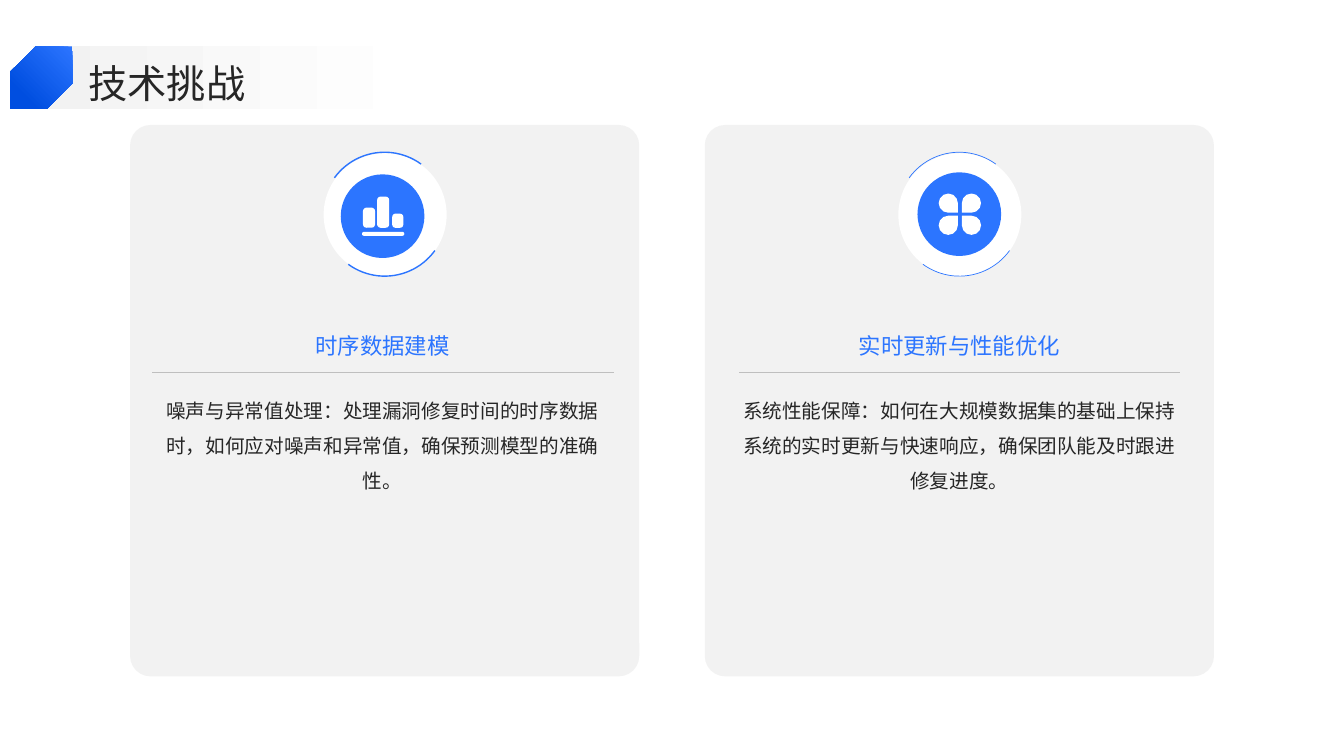
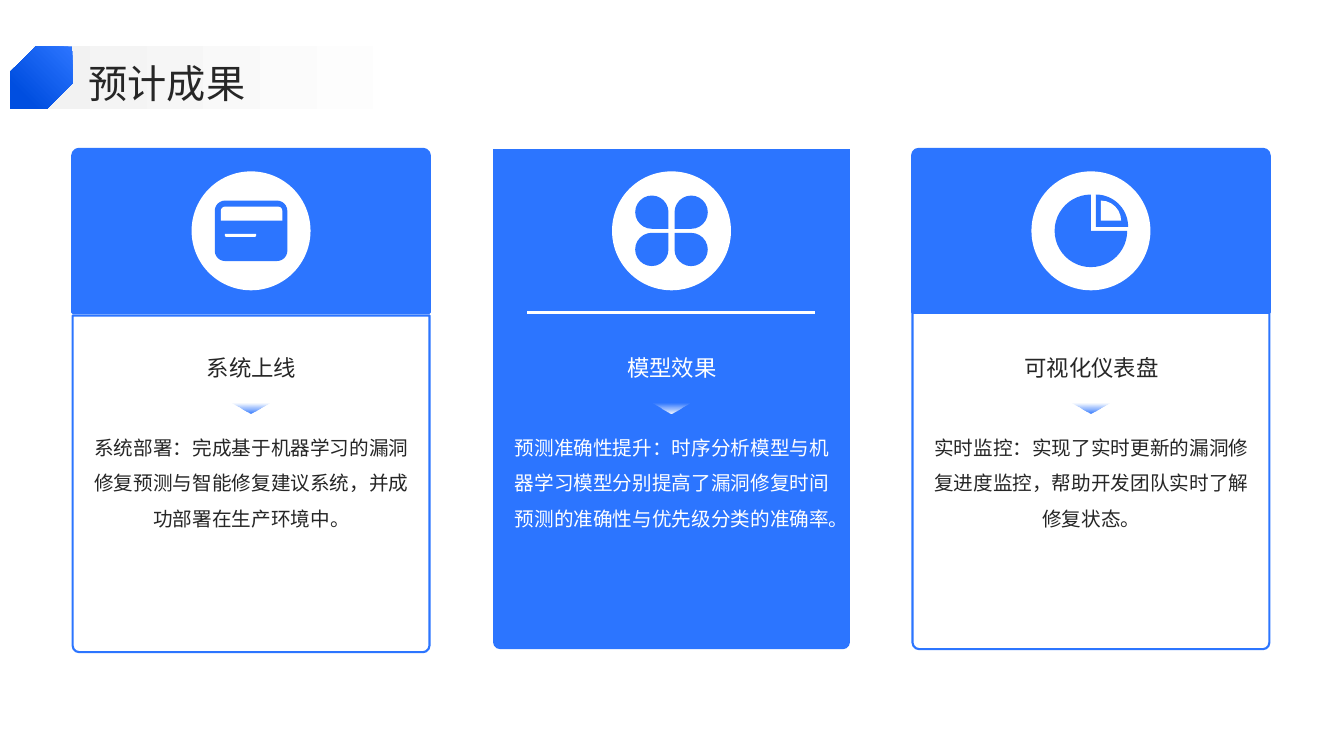
from dataclasses import dataclass

from lxml.etree import SubElement
from pptx import Presentation
from pptx.dml.color import RGBColor
from pptx.enum.lang import MSO_LANGUAGE_ID
from pptx.enum.shapes import MSO_CONNECTOR, MSO_SHAPE
from pptx.enum.text import MSO_ANCHOR, PP_ALIGN
from pptx.oxml.ns import qn
from pptx.util import Emu, Pt


@dataclass(frozen=True)
class Theme:
    blue: str = "2C75FF"
    deep_blue: str = "004EE0"
    white: str = "FFFFFF"
    panel: str = "F2F2F2"
    rule: str = "BFBFBF"
    ink: str = "262626"
    font: str = "Noto Sans CJK SC"
    title_size: int = 28
    heading_size: int = 16
    body_size: int = 14


THEME = Theme()
EMU_PER_PX = 9144
BLANK_LAYOUT = 6
PIE_ANGLE_UNIT = 0.6


def px(length):
    return Emu(length * EMU_PER_PX)


def rgb(color):
    return RGBColor.from_string(color)


def add_shape(page, kind, box, fill=None, line=None, weight=1, rotation=0, adjust=()):
    shape = page.shapes.add_shape(kind, *map(px, box))
    shape.shadow.inherit = False
    shape.rotation = rotation
    for index, value in enumerate(adjust):
        shape.adjustments[index] = value
    if fill:
        shape.fill.solid()
        shape.fill.fore_color.rgb = rgb(fill)
    else:
        shape.fill.background()
    if line:
        shape.line.color.rgb = rgb(line)
        shape.line.width = Pt(weight)
    else:
        shape.line.fill.background()
    return shape


def set_gradient(shape, stops, angle):
    shape.fill.gradient()
    shape.fill.gradient_angle = -angle % 360
    for stop, (position, color) in zip(shape.fill.gradient_stops, stops):
        stop.position = position
        stop.color.rgb = rgb(color)


def flip(shape, axis):
    shape._element.spPr.find(qn("a:xfrm")).set(axis, "1")


def add_rule(page, left, right, top, color, weight):
    rule = page.shapes.add_connector(
        MSO_CONNECTOR.STRAIGHT, px(left), px(top), px(right), px(top))
    rule.line.color.rgb = rgb(color)
    rule.line.width = Pt(weight)
    SubElement(rule._element.spPr, qn("a:effectLst"))


def add_text(page, box, text, size, color, spacing, align=PP_ALIGN.CENTER,
             anchor=MSO_ANCHOR.TOP):
    frame = page.shapes.add_textbox(*map(px, box)).text_frame
    frame.word_wrap = True
    frame.vertical_anchor = anchor
    frame.margin_left = frame.margin_right = frame.margin_top = frame.margin_bottom = 0
    frame.text = text
    para = frame.paragraphs[0]
    para.alignment = align
    para.line_spacing = spacing
    span = para.runs[0]
    span.font.name = THEME.font
    span.font.size = Pt(size)
    span.font.color.rgb = rgb(color)
    span.font.language_id = MSO_LANGUAGE_ID.SIMPLIFIED_CHINESE
    SubElement(span._r.rPr, qn("a:ea"), typeface=THEME.font)


def add_page(deck, title):
    page = deck.slides.add_slide(deck.slide_layouts[BLANK_LAYOUT])
    page.background.fill.solid()
    page.background.fill.fore_color.rgb = rgb(THEME.white)
    band = add_shape(page, MSO_SHAPE.RECTANGLE, (33, 46, 492, 62))
    set_gradient(band, ((0, THEME.panel), (0.8, THEME.white)), 0)
    add_text(page, (88, 54, 1188, 51), title, THEME.title_size, THEME.ink, 1.1,
             PP_ALIGN.LEFT, MSO_ANCHOR.MIDDLE)
    tile = add_shape(page, MSO_SHAPE.SNIP_2_DIAG_RECTANGLE, (10, 46, 62, 62),
                     adjust=(0, 0.41))
    set_gradient(tile, ((0, THEME.blue), (0.8, THEME.deep_blue)), 45)
    flip(tile, "flipH")
    return page


def add_bars_icon(page, left, top, color):
    parts = ((0, 36, 42, 4, 0.5), (1, 12, 12, 20, 0.29),
             (15, 1, 12, 31, 0.29), (30, 18, 11, 14, 0.29))
    for dx, dy, width, height, rounding in parts:
        add_shape(page, MSO_SHAPE.ROUNDED_RECTANGLE,
                  (left + dx, top + dy, width, height), color, adjust=(rounding,))


def add_petals(page, left, top, color, size, gap_x, gap_y):
    for column, row, rotation in ((0, 0, 90), (1, 0, 180), (1, 1, 270), (0, 1, 0)):
        box = (left + column * (size + gap_x), top + row * (size + gap_y), size, size)
        add_shape(page, MSO_SHAPE.TEAR, box, color, rotation=rotation)


def add_small_petals(page, left, top, color):
    add_petals(page, left, top, color, 19, 4, 3)


def add_large_petals(page, left, top, color):
    add_petals(page, left, top + 1, color, 33, 6, 4)


def add_window_icon(page, left, top, color):
    add_shape(page, MSO_SHAPE.ROUNDED_RECTANGLE, (left, top + 6, 72, 60), color,
              adjust=(0.17,))
    add_shape(page, MSO_SHAPE.ROUND_2_SAME_RECTANGLE, (left + 6, top + 12, 61, 14),
              THEME.white, adjust=(0.29, 0))
    add_shape(page, MSO_SHAPE.ROUND_2_SAME_RECTANGLE, (left + 10, top + 39, 31, 3),
              THEME.white, rotation=180, adjust=(0.5, 0))


def add_pie_icon(page, left, top, color):
    sectors = ((36, 36, 36, color, 0, 270), (41, 32, 32, color, 270, 360),
               (46, 26, 20, THEME.white, 270, 360))
    for center_x, center_y, radius, fill, start, end in sectors:
        box = (left + center_x - radius, top + center_y - radius, 2 * radius, 2 * radius)
        add_shape(page, MSO_SHAPE.PIE, box, fill,
                  adjust=(start * PIE_ANGLE_UNIT, end % 360 * PIE_ANGLE_UNIT))


def add_challenge(page, left, rounding, disc, arc_weight, rule, text_left,
                  heading, body, add_icon):
    add_shape(page, MSO_SHAPE.ROUNDED_RECTANGLE, (left, 124, 505, 547), THEME.panel,
              adjust=(rounding,))
    add_shape(page, MSO_SHAPE.OVAL, (left + 192, 152, 122, 122), THEME.white)
    for rotation in (306, 126):
        add_shape(page, MSO_SHAPE.ARC, (left + 191, 151, 123, 123), line=THEME.blue,
                  weight=arc_weight, rotation=rotation)
    disc_left, disc_top = disc
    add_shape(page, MSO_SHAPE.OVAL, (disc_left, disc_top, 83, 83), THEME.blue)
    add_icon(page, disc_left + 21, disc_top + 21, THEME.white)
    add_text(page, (text_left, 293, 447, 63), heading, THEME.heading_size, THEME.blue,
             1.1, anchor=MSO_ANCHOR.BOTTOM)
    add_rule(page, *rule, 369, THEME.rule, 0.5)
    add_text(page, (text_left, 384, 447, 282), body, THEME.body_size, THEME.ink, 1.5)


def add_solid_card(page, left):
    add_shape(page, MSO_SHAPE.ROUND_2_SAME_RECTANGLE, (left, 148, 354, 496), THEME.blue,
              rotation=180, adjust=(0.02, 0))
    add_rule(page, left + 34, left + 319, 310, THEME.white, 1.5)


def add_outlined_card(page, left, body_top):
    add_shape(page, MSO_SHAPE.ROUND_2_SAME_RECTANGLE, (left, body_top, 354, 334),
              THEME.white, THEME.blue, 1.5, 180, (0.02, 0))
    add_shape(page, MSO_SHAPE.ROUND_2_SAME_RECTANGLE, (left, 148, 354, 162),
              THEME.blue, THEME.blue, 2, adjust=(0.04, 0))


def add_result(page, left, heading, body, add_icon, ink, accent):
    add_shape(page, MSO_SHAPE.OVAL, (left + 118, 170, 118, 118), THEME.white)
    add_icon(page, left + 141, 193, THEME.blue)
    add_text(page, (left + 20, 334, 315, 54), heading, THEME.heading_size, ink, 1.3,
             anchor=MSO_ANCHOR.MIDDLE)
    pointer = add_shape(page, MSO_SHAPE.ISOSCELES_TRIANGLE, (left + 159, 400, 36, 10))
    set_gradient(pointer, ((0, accent), (1, accent)), 90)
    last_color = list(pointer._element.spPr.iter(qn("a:srgbClr")))[-1]
    SubElement(last_color, qn("a:alpha"), val="0")
    flip(pointer, "flipV")
    add_text(page, (left + 20, 421, 315, 210), body, THEME.body_size, ink, 1.5)


def build_challenges(deck):
    page = add_page(deck, "技术挑战")
    add_challenge(
        page, 129, 0.04, (338, 173), 1, (151, 609), 156, "时序数据建模",
        "噪声与异常值处理：处理漏洞修复时间的时序数据时，如何应对噪声和异常值，确保预测模型的准确性。",
        add_bars_icon)
    add_challenge(
        page, 699, 0.04, (910, 171), 0.5, (733, 1170), 728, "实时更新与性能优化",
        "系统性能保障：如何在大规模数据集的基础上保持系统的实时更新与快速响应，确保团队能及时跟进修复进度。",
        add_small_petals)


def build_results(deck):
    page = add_page(deck, "预计成果")
    add_outlined_card(page, 72, 313)
    add_result(page, 72, "系统上线",
               "系统部署：完成基于机器学习的漏洞修复预测与智能修复建议系统，并成功部署在生产环境中。",
               add_window_icon, THEME.ink, THEME.blue)
    add_solid_card(page, 489)
    add_result(page, 489, "模型效果",
               "预测准确性提升：时序分析模型与机器学习模型分别提高了漏洞修复时间预测的准确性与优先级分类的准确率。",
               add_large_petals, THEME.white, THEME.white)
    add_outlined_card(page, 905, 310)
    add_result(page, 905, "可视化仪表盘",
               "实时监控：实现了实时更新的漏洞修复进度监控，帮助开发团队实时了解修复状态。",
               add_pie_icon, THEME.ink, THEME.blue)


def main():
    deck = Presentation()
    deck.slide_width = px(1333)
    deck.slide_height = px(750)
    build_challenges(deck)
    build_results(deck)
    deck.save("out.pptx")


if __name__ == "__main__":
    main()
